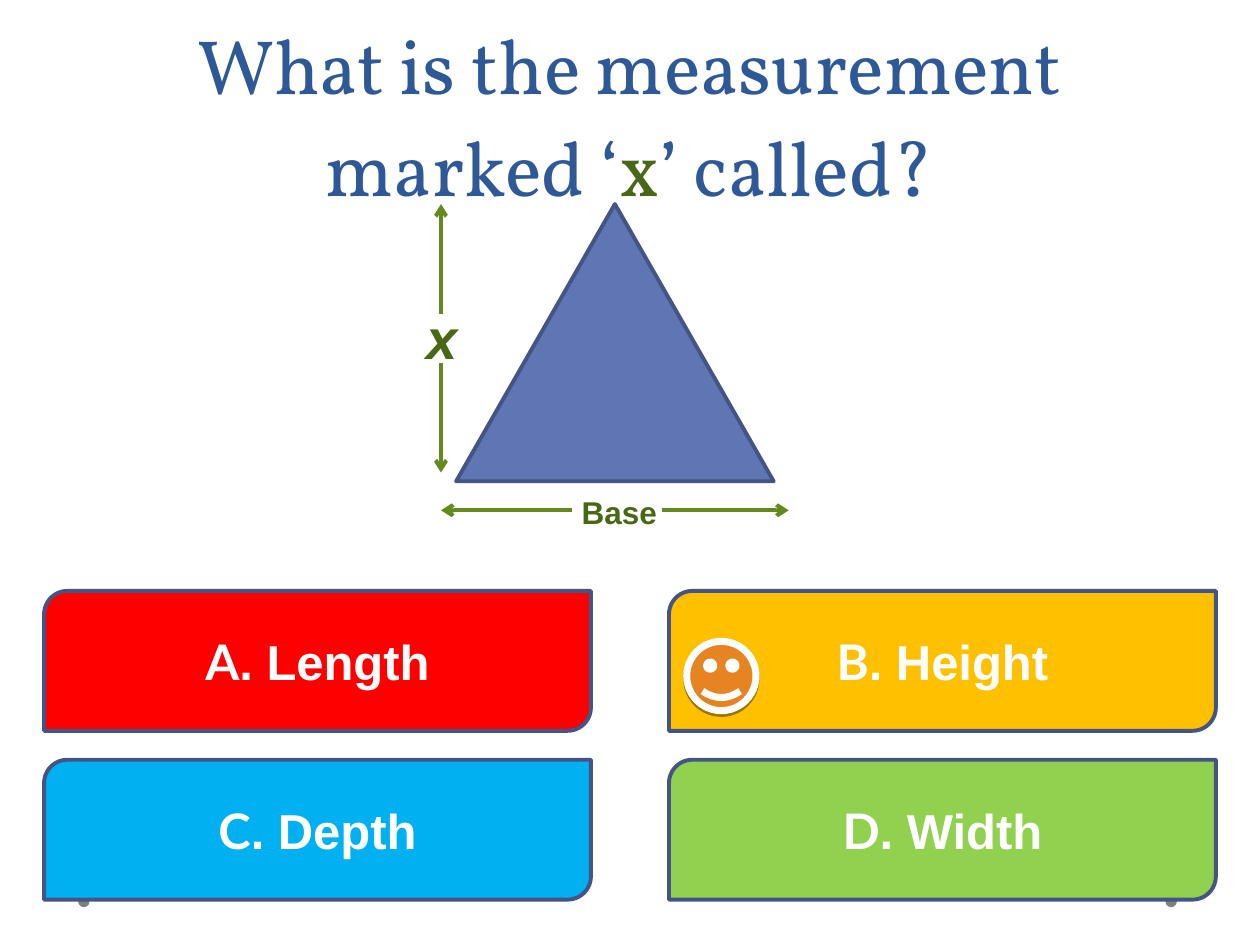
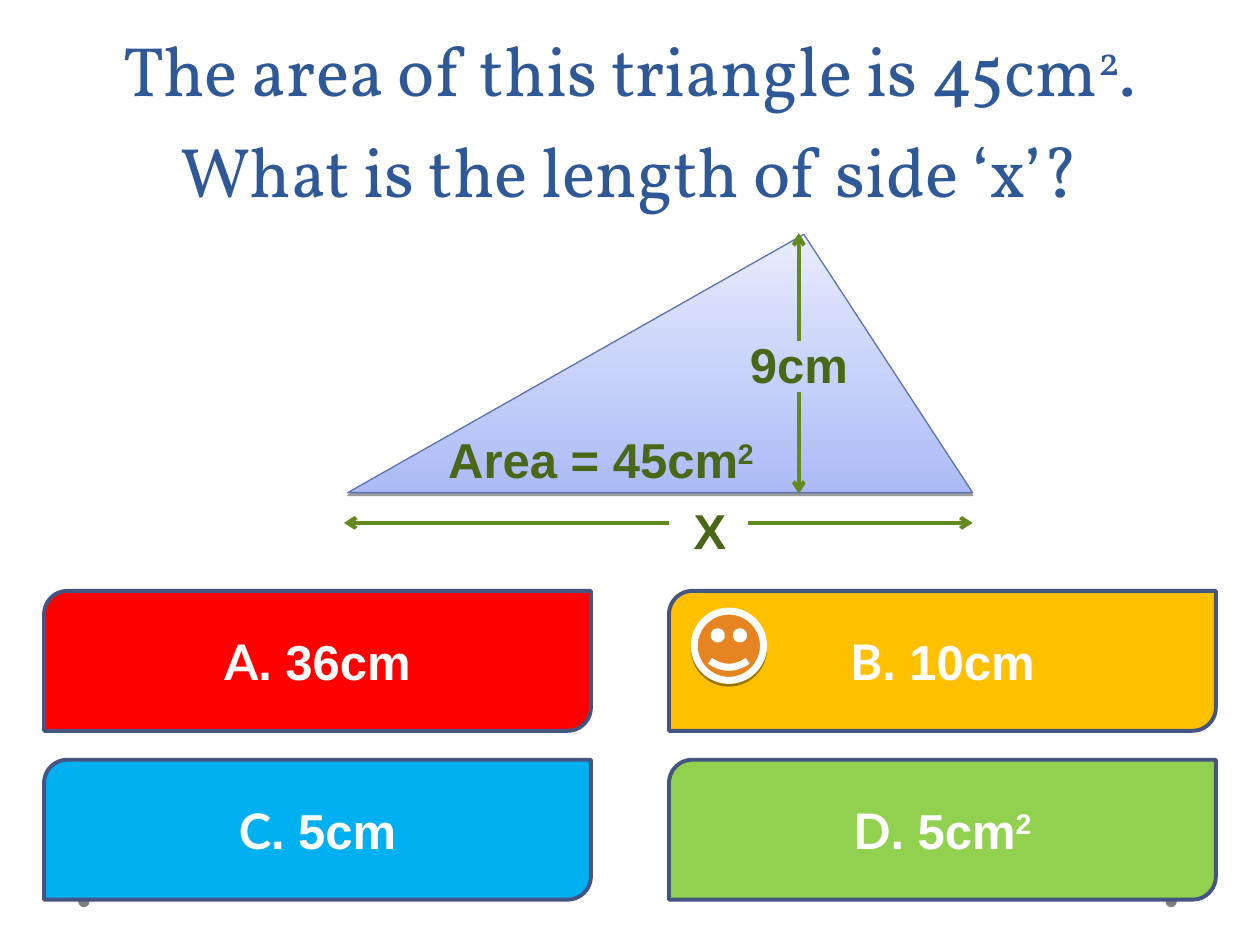
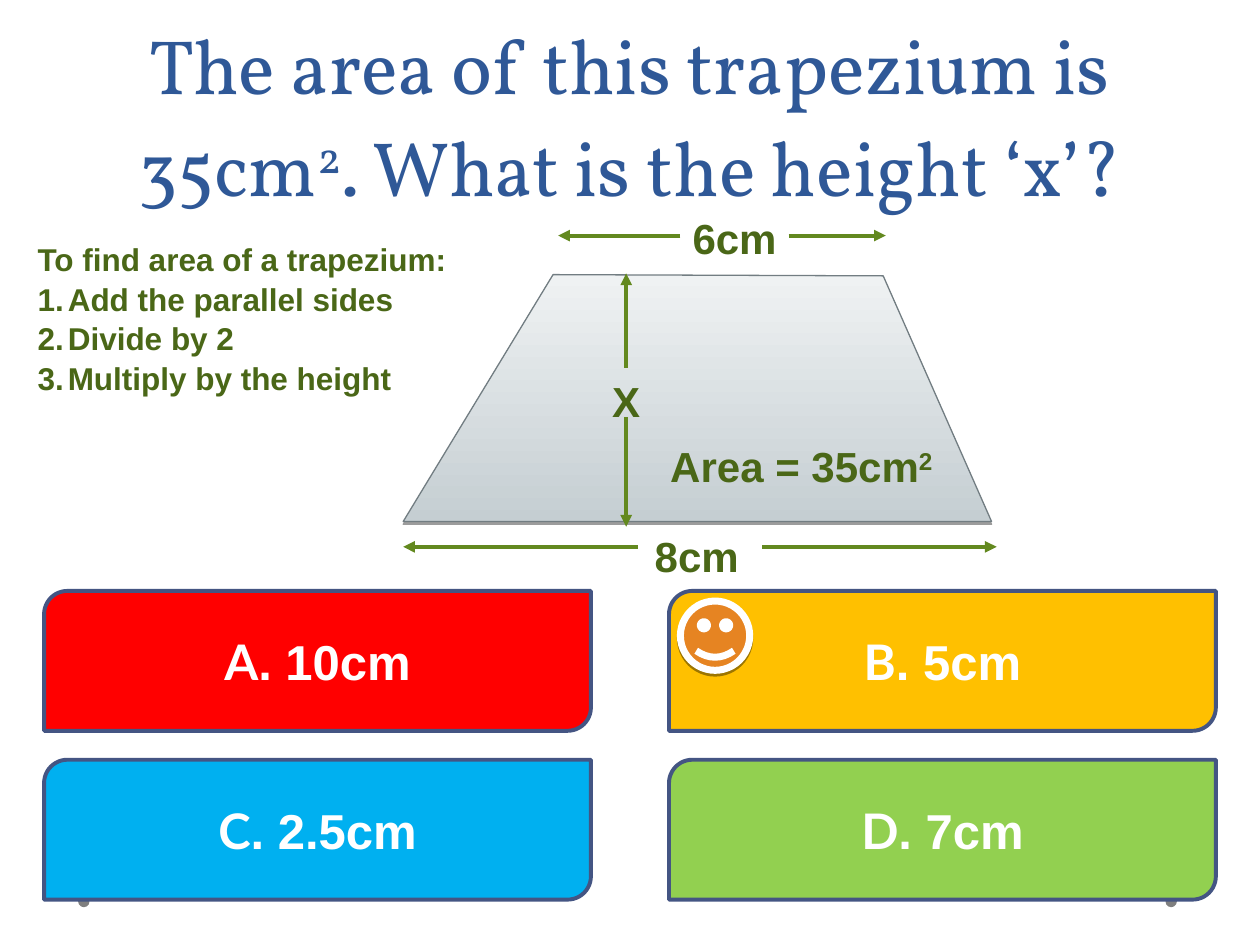
from dataclasses import dataclass
from typing import NamedTuple

import lxml.etree
import pptx
import pptx.dml.color
import pptx.enum.shapes
import pptx.enum.text
import pptx.oxml.ns
import pptx.util

Inches = pptx.util.Inches
Pt = pptx.util.Pt
qn = pptx.oxml.ns.qn
Preset = pptx.enum.shapes.MSO_SHAPE
Align = pptx.enum.text.PP_ALIGN
Anchor = pptx.enum.text.MSO_ANCHOR

COLOURS = {
    "title": "2F5897",
    "label": "4A6717",
    "arrow": "63891F",
    "dot": "7F7F7F",
    "outline": "445583",
    "white": "FFFFFF",
    "black": "000000",
    "smiley": "E68422",
    "triangle": "6076B4",
    "blue_low": "ACBBF6",
    "blue_high": "E8ECFD",
    "blue_edge": "5C72B2",
    "grey_low": "C5CED2",
    "grey_high": "EFF2F3",
    "grey_edge": "727D82",
    "A": "FF0000",
    "B": "FFC000",
    "C": "00B0F0",
    "D": "92D050",
}

PANEL_LEFT, PANEL_TOP = 0.35, 4.69
PANEL_WIDTH, PANEL_HEIGHT = 4.34, 1.11
PANEL_STEP_X, PANEL_STEP_Y = 4.96, 1.34


class Span(NamedTuple):
    text: str
    colour: str = ""
    font: str = ""
    raised: bool = False


SQUARED = Span("2", raised=True)


class Arrow(NamedTuple):
    start_x: float
    start_y: float
    end_x: float
    end_y: float


class Label(NamedTuple):
    left: float
    top: float
    width: float
    height: float
    size: int
    spans: list[Span]
    italic: bool = False


@dataclass
class Question:
    title: list[Span]
    title_size: int
    answers: dict[str, list[Span]]
    smiley: tuple[float, float]
    arrows: list[Arrow]
    labels: list[Label]
    arrow_head: str = "arrow"


def rgb(name: str) -> pptx.dml.color.RGBColor:
    return pptx.dml.color.RGBColor.from_string(COLOURS[name])


def write_spans(para, spans: list[Span], font: str, size: int, colour: str,
                bold: bool = False, italic: bool = False) -> None:
    para.font.name = font
    para.font.size = Pt(size)
    para.font.bold = bold
    para.font.italic = italic
    para.font.color.rgb = rgb(colour)
    for part in spans:
        span = para.add_run()
        span.text = part.text
        if part.colour:
            span.font.color.rgb = rgb(part.colour)
        if part.font:
            span.font.name = part.font
        if part.raised:
            span._r.get_or_add_rPr().set("baseline", "30000")


def paint(shape, edge: str, width: float, fill: str = "") -> None:
    shape.shadow.inherit = False
    if fill:
        shape.fill.solid()
        shape.fill.fore_color.rgb = rgb(fill)
    shape.line.color.rgb = rgb(edge)
    shape.line.width = Pt(width)


def paint_gradient(shape, low: str, high: str) -> None:
    shape.fill.gradient()
    shape.fill.gradient_angle = 90
    for stop, name in zip(shape.fill.gradient_stops, (low, high)):
        stop.color.rgb = rgb(name)


def drop_shadow(shape) -> None:
    effects = shape._element.spPr.find(qn("a:effectLst"))
    shadow = lxml.etree.SubElement(effects, qn("a:outerShdw"), blurRad="0",
                                   dist=str(Pt(1.6)), dir="5400000", rotWithShape="0")
    tint = lxml.etree.SubElement(shadow, qn("a:srgbClr"), val=COLOURS["black"])
    lxml.etree.SubElement(tint, qn("a:alpha"), val="38000")


def add_preset(page, preset, left: float, top: float, width: float, height: float):
    return page.shapes.add_shape(preset, Inches(left), Inches(top), Inches(width), Inches(height))


def add_dots(page) -> None:
    for left in (9.25, 0.62):
        dot = add_preset(page, Preset.OVAL, left, 7.11, 0.09, 0.09)
        paint(dot, "dot", 0.75, "dot")
        dot.line.fill.background()


def add_title(page, question: Question) -> None:
    title = page.shapes.title
    title.left, title.top = Inches(0.5), Inches(0)
    title.width, title.height = Inches(9), Inches(1.75)
    frame = title.text_frame
    frame.auto_size = pptx.enum.text.MSO_AUTO_SIZE.NONE
    frame.vertical_anchor = Anchor.MIDDLE
    para = frame.paragraphs[0]
    para.alignment = Align.CENTER
    para.line_spacing = Pt(58)
    write_spans(para, question.title, "Vollkorn", question.title_size, "title")


def add_answers(page, answers: dict[str, list[Span]]) -> None:
    for index, (letter, spans) in enumerate(answers.items()):
        row, column = divmod(index, 2)
        panel = add_preset(page, Preset.ROUND_2_DIAG_RECTANGLE,
                           PANEL_LEFT + column * PANEL_STEP_X, PANEL_TOP + row * PANEL_STEP_Y,
                           PANEL_WIDTH, PANEL_HEIGHT)
        paint(panel, "outline", 2.25, letter)
        panel.text_frame.vertical_anchor = Anchor.MIDDLE
        para = panel.text_frame.paragraphs[0]
        para.alignment = Align.CENTER
        write_spans(para, [Span(letter, font="Lato"), *spans], "Arial", 28, "white", bold=True)


def add_smiley(page, left: float, top: float) -> None:
    smiley = add_preset(page, Preset.SMILEY_FACE, left, top, 0.55, 0.55)
    paint(smiley, "white", 4, "smiley")
    drop_shadow(smiley)


def add_arrow(page, arrow: Arrow, head: str) -> None:
    line = page.shapes.add_connector(pptx.enum.shapes.MSO_CONNECTOR.STRAIGHT,
                                     *(Inches(value) for value in arrow))
    line.line.color.rgb = rgb("arrow")
    line.line.width = Pt(2.25)
    lxml.etree.SubElement(line.line._get_or_add_ln(), qn("a:tailEnd"), type=head)
    lxml.etree.SubElement(line._element.spPr, qn("a:effectLst"))


def add_text_frame(page, left: float, top: float, width: float, height: float):
    box = page.shapes.add_textbox(Inches(left), Inches(top), Inches(width), Inches(height))
    box.text_frame.word_wrap = True
    return box.text_frame


def add_label(page, label: Label) -> None:
    frame = add_text_frame(page, label.left, label.top, label.width, label.height)
    para = frame.paragraphs[0]
    para.alignment = Align.CENTER
    para.line_spacing = 1.05
    write_spans(para, label.spans, "Arial", label.size, "label", bold=True, italic=label.italic)


def add_method(page, heading: str, steps: list[str]) -> None:
    frame = add_text_frame(page, 0.2, 1.84, 3.47, 1.3)
    for index, text in enumerate([heading, *steps]):
        para = frame.add_paragraph() if index else frame.paragraphs[0]
        para.line_spacing = 1.05
        if index:
            properties = para._p.get_or_add_pPr()
            properties.set("marL", str(Inches(0.24)))
            properties.set("indent", str(Inches(-0.24)))
            lxml.etree.SubElement(properties, qn("a:buFont"), typeface="Arial")
            lxml.etree.SubElement(properties, qn("a:buAutoNum"), type="arabicPeriod")
        write_spans(para, [Span(text)], "Arial", 18, "label", bold=True)


def draw_plain_triangle(page) -> None:
    triangle = add_preset(page, Preset.ISOSCELES_TRIANGLE, 3.62, 1.62, 2.52, 2.2)
    paint(triangle, "outline", 2.25, "triangle")


def draw_area_triangle(page) -> None:
    triangle = add_preset(page, Preset.ISOSCELES_TRIANGLE, 2.76, 1.86, 4.96, 2.05)
    triangle.adjustments[0] = 0.73
    paint(triangle, "blue_edge", 0.75)
    paint_gradient(triangle, "blue_low", "blue_high")
    drop_shadow(triangle)


def draw_trapezium(page) -> None:
    corners = [(Inches(x), Inches(y)) for x, y in ((7.87, 4.14), (7.01, 2.19), (4.39, 2.18), (3.2, 4.14))]
    builder = page.shapes.build_freeform(*corners[0])
    builder.add_line_segments(corners[1:], close=True)
    trapezium = builder.convert_to_shape()
    paint(trapezium, "grey_edge", 0.75)
    paint_gradient(trapezium, "grey_low", "grey_high")
    drop_shadow(trapezium)
    add_method(page, "To find area of a trapezium:",
               ["Add the parallel sides", "Divide by 2", "Multiply by the height"])


HEIGHT_NAME = Question(
    title=[Span("What is the measurement marked ‘"), Span("x", "label"), Span("’ called?")],
    title_size=44,
    answers={"A": [Span(". Length")], "B": [Span(". Height")],
             "C": [Span(". Depth")], "D": [Span(". Width")]},
    smiley=(5.45, 5.09),
    arrows=[Arrow(5.25, 4.05, 6.26, 4.05), Arrow(4.54, 4.05, 3.5, 4.05),
            Arrow(3.5, 2.49, 3.5, 1.62), Arrow(3.5, 2.88, 3.5, 3.75)],
    labels=[Label(4.48, 3.85, 0.87, 0.4, 18, [Span("Base")]),
            Label(3.07, 2.33, 0.87, 0.64, 32, [Span("x")], italic=True)],
)

TRIANGLE_SIDE = Question(
    title=[Span("The area of this triangle is 45cm"), SQUARED,
           Span(". What is the length of side ‘x’?")],
    title_size=40,
    answers={"A": [Span(". 36cm")], "B": [Span(". 10cm")],
             "C": [Span(". 5cm")], "D": [Span(". 5cm"), SQUARED]},
    smiley=(5.51, 4.85),
    arrows=[Arrow(6.34, 2.71, 6.34, 1.85), Arrow(6.34, 3.11, 6.34, 3.92),
            Arrow(5.94, 4.15, 7.72, 4.15), Arrow(5.31, 4.15, 2.73, 4.15)],
    labels=[Label(5.62, 2.58, 1.44, 0.57, 28, [Span("9cm")]),
            Label(3.44, 3.34, 2.66, 0.57, 28, [Span("Area = 45cm"), SQUARED]),
            Label(5.2, 3.9, 0.87, 0.57, 28, [Span("X")])],
)

TRAPEZIUM_HEIGHT = Question(
    title=[Span("The area of this trapezium is 35cm"), SQUARED,
           Span(". What is the height ‘x’?")],
    title_size=44,
    answers={"A": [Span(". 10cm")], "B": [Span(". 5cm")],
             "C": [Span(". 2.5cm")], "D": [Span(". 7cm")]},
    smiley=(5.4, 4.77),
    arrows=[Arrow(4.97, 2.92, 4.97, 2.17), Arrow(4.97, 3.31, 4.97, 4.18),
            Arrow(6.05, 4.34, 7.91, 4.34), Arrow(5.06, 4.34, 3.2, 4.34),
            Arrow(6.26, 1.87, 7.03, 1.87), Arrow(5.4, 1.87, 4.43, 1.87)],
    labels=[Label(4.41, 2.91, 1.12, 0.5, 24, [Span("X")]),
            Label(4.88, 4.14, 1.3, 0.5, 24, [Span("8cm")]),
            Label(5.18, 1.62, 1.3, 0.5, 24, [Span("6cm")]),
            Label(5.09, 3.43, 2.54, 0.5, 24, [Span("Area = 35cm"), SQUARED])],
    arrow_head="triangle",
)


def main() -> None:
    deck = pptx.Presentation()
    deck.slide_width, deck.slide_height = Inches(10), Inches(7.5)
    for question, draw_figure in ((HEIGHT_NAME, draw_plain_triangle),
                                  (TRIANGLE_SIDE, draw_area_triangle),
                                  (TRAPEZIUM_HEIGHT, draw_trapezium)):
        page = deck.slides.add_slide(deck.slide_layouts[5])
        add_dots(page)
        add_title(page, question)
        add_answers(page, question.answers)
        add_smiley(page, *question.smiley)
        draw_figure(page)
        for arrow in question.arrows:
            add_arrow(page, arrow, question.arrow_head)
        for label in question.labels:
            add_label(page, label)
    deck.save("out.pptx")


if __name__ == "__main__":
    main()
